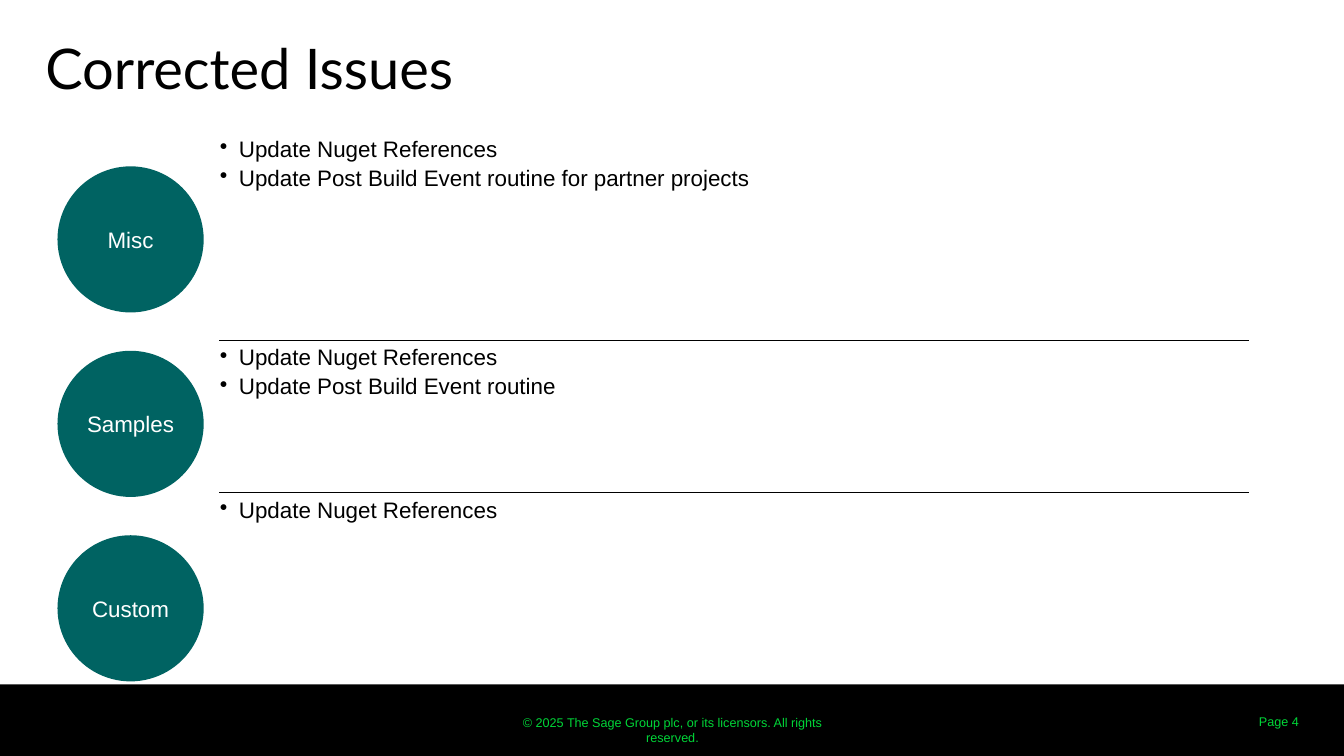
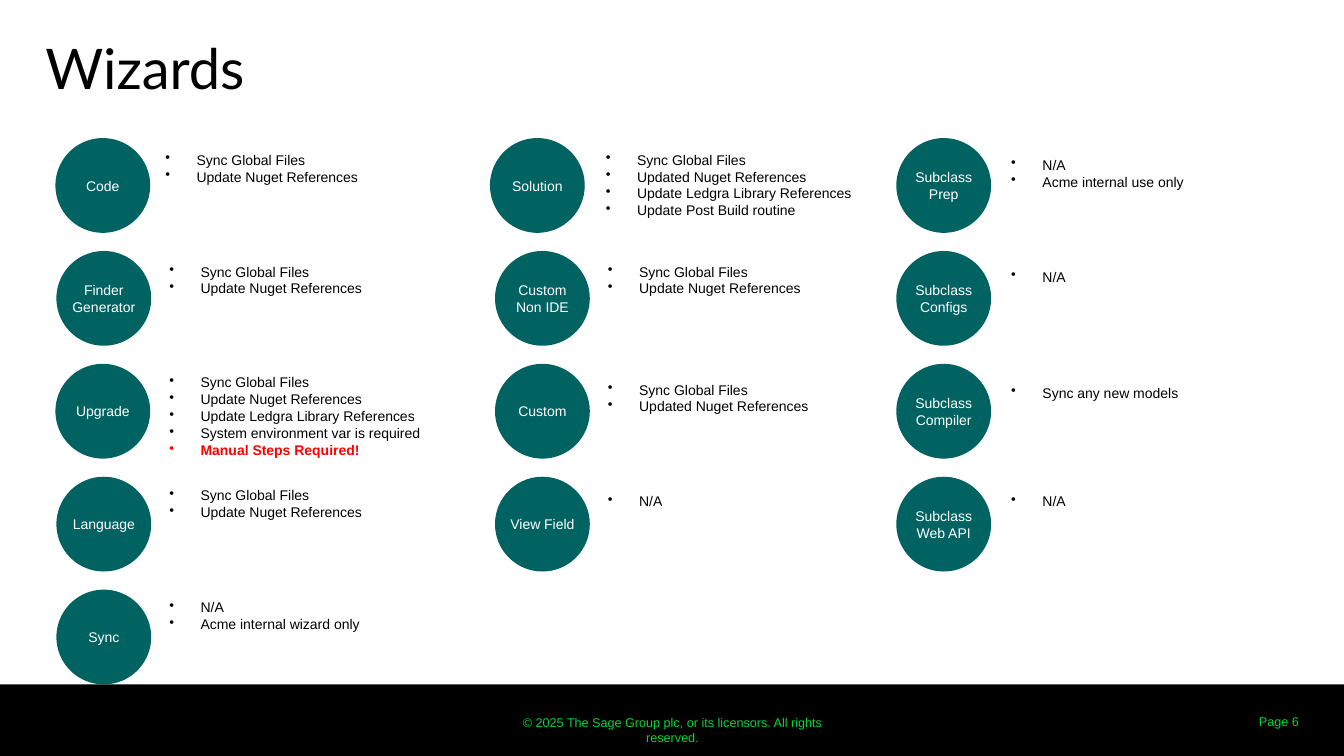
from lxml import etree
from pptx import Presentation
from pptx.dml.color import RGBColor
from pptx.enum import shapes, text
from pptx.oxml import ns
from pptx.util import Inches, Pt

BLACK = RGBColor(0x00, 0x00, 0x00)
WHITE = RGBColor(0xFF, 0xFF, 0xFF)
TEAL = RGBColor(0x00, 0x63, 0x62)
GREEN = RGBColor(0x00, 0xD6, 0x38)
RED = RGBColor(0xFF, 0x00, 0x00)
BODY, HEAD = "Arial", "Lato"
WIDE, HIGH = 13.33, 7.5
ALIGN, ANCHOR = text.PP_ALIGN, text.MSO_ANCHOR

ALERT = "Manual Steps Required!"
SYNC = "Sync Global Files"
NUGET = "Update Nuget References"
LIBS = "Update Ledgra Library References"

# label, row height, bullets
ISSUES = [
    ("Misc", 2.07, [NUGET, "Update Post Build Event routine for partner projects"]),
    ("Samples", 1.51, [NUGET, "Update Post Build Event routine"]),
    ("Custom", 1.51, [NUGET]),
]

# columns of: label, disc left, list left, list top, bullets
WIZARDS = [
    [
        ("Code", 0.55, 1.64, 1.5, [SYNC, NUGET]),
        ("Finder\nGenerator", 0.56, 1.68, 2.61, [SYNC, NUGET]),
        ("Upgrade", 0.55, 1.68, 3.71,
         [SYNC, NUGET, LIBS, "System environment var is required", ALERT]),
        ("Language", 0.56, 1.68, 4.83, [SYNC, NUGET]),
        ("Sync", 0.56, 1.68, 5.94, ["N/A", "Acme internal wizard only"]),
    ],
    [
        ("Solution", 4.86, 6.01, 1.5,
         [SYNC, "Updated Nuget References", LIBS, "Update Post Build routine"]),
        ("Custom\nNon IDE", 4.91, 6.03, 2.61, [SYNC, NUGET]),
        ("Custom", 4.91, 6.03, 3.78, [SYNC, "Updated Nuget References"]),
        ("View Field", 4.91, 6.03, 4.89, ["N/A"]),
    ],
    [
        ("Subclass\nPrep", 8.89, 10.03, 1.55, ["N/A", "Acme internal use only"]),
        ("Subclass\nConfigs", 8.89, 10.03, 2.66, ["N/A"]),
        ("Subclass\nCompiler", 8.89, 10.03, 3.81, ["Sync any new models"]),
        ("Subclass\nWeb API", 8.89, 10.03, 4.89, ["N/A"]),
    ],
]


def box(left, top, width, height):
    return [Inches(n) for n in (left, top, width, height)]


def pad(item, side, ends):
    """Set the margins of a text frame or a cell."""
    item.margin_left = item.margin_right = Inches(side)
    item.margin_top = item.margin_bottom = Inches(ends)


def style(para, size, color, face=BODY, align=None):
    para.alignment = align
    para.font.size, para.font.name = Pt(size), face
    para.font.color.rgb = color


def write(frame, lines, size, color, align=None, indent=0, after=None):
    """Fill a frame with one paragraph a line, bulleted if indented."""
    for i, line in enumerate(lines):
        para = frame.add_paragraph() if i else frame.paragraphs[0]
        para.text = line
        if indent:
            props = para._p.get_or_add_pPr()
            props.set("marL", str(Inches(indent)))
            props.set("indent", str(-Inches(indent)))
            etree.SubElement(props, ns.qn("a:buChar"), char="•")
        if after is not None:
            para.space_after = Pt(after)
        style(para, size, RED if line == ALERT else color, align=align)
        if line == ALERT:
            para.font.bold = True


def label(slide, area, lines, size, color, side=0, ends=0, **how):
    """Add a wrapping text box."""
    shape = slide.shapes.add_textbox(*box(*area))
    shape.text_frame.word_wrap = True
    pad(shape.text_frame, side, ends)
    write(shape.text_frame, lines, size, color, **how)
    return shape


def solid(slide, kind, area, color):
    shape = slide.shapes.add_shape(kind, *box(*area))
    shape.shadow.inherit = False
    shape.fill.solid()
    shape.fill.fore_color.rgb = color
    shape.line.fill.background()
    return shape


def disc(slide, left, top, side, words, size):
    shape = solid(slide, shapes.MSO_SHAPE.OVAL, (left, top, side, side), TEAL)
    frame = shape.text_frame
    pad(frame, 0, 0)
    frame.vertical_anchor = ANCHOR.MIDDLE
    write(frame, words.split("\n"), size, WHITE, ALIGN.CENTER)


def dress(layout, slide):
    """Give the layout its title place, band and copyright line."""
    title = layout.placeholders[0]
    title.left, title.top, title.width, title.height = box(0.45, 0.33, 12.42, 0.65)
    band = solid(slide, shapes.MSO_SHAPE.RECTANGLE, (0, 6.79, WIDE, 0.71), BLACK)
    legal = label(slide, (4.92, 7.04, 3.5, 0.25),
                  ["© 2025 The Sage Group plc, or its licensors. All rights reserved."],
                  9, GREEN, ends=0.05, align=ALIGN.CENTER)
    for shape in (band, legal):
        layout.shapes.element.append(shape.element)


def head(slide, words, page):
    """Write the title and the page number."""
    frame = slide.shapes.title.text_frame
    frame.text = words
    pad(frame, 0, 0)
    frame.auto_size = text.MSO_AUTO_SIZE.NONE
    frame.vertical_anchor = ANCHOR.TOP
    style(frame.paragraphs[0], 40, BLACK, HEAD, ALIGN.LEFT)
    num = label(slide, (12.07, 6.96, 0.91, 0.4), [f"Page {page}"], 9, GREEN,
                side=0.1, ends=0.05, align=ALIGN.RIGHT)
    num.text_frame.vertical_anchor = ANCHOR.MIDDLE


def rule(cell, edge):
    """Draw a thin black line on one edge of a cell."""
    line = etree.Element(ns.qn(f"a:{edge}"), w=str(Pt(1)))
    fill = etree.SubElement(line, ns.qn("a:solidFill"))
    etree.SubElement(fill, ns.qn("a:srgbClr"), val=str(BLACK))
    props = cell._tc.get_or_add_tcPr()
    props.insert(len(props.findall(ns.qn("a:lnT"))), line)


def issues(slide, left, top, width):
    """Place a ruled table of fixes with a disc beside each row."""
    total = sum(high for _, high, _ in ISSUES)
    grid = slide.shapes.add_table(len(ISSUES), 1, *box(left, top, width, total)).table
    grid.first_row = grid.horz_banding = False
    for i, (name, high, lines) in enumerate(ISSUES):
        disc(slide, left - 1.61, top + 0.34 + 1.83 * i, 1.45, name, 16)
        grid.rows[i].height = Inches(high)
        cell = grid.cell(i, 0)
        cell.fill.background()
        pad(cell, 0, 0.05)
        write(cell.text_frame, lines, 16, BLACK, indent=0.19, after=3)
        if i:
            rule(cell, "lnT")
        if i < len(ISSUES) - 1:
            rule(cell, "lnB")


def wizards(slide, top, step):
    """Place columns of discs, each with its list."""
    for column in WIZARDS:
        for i, (name, left, start, high, lines) in enumerate(column):
            disc(slide, left, top + step * i, 0.94, name, 10)
            label(slide, (start, high, 2.67, 0.58), lines, 10, BLACK, indent=0.31)


def main():
    deck = Presentation()
    deck.slide_width, deck.slide_height = Inches(WIDE), Inches(HIGH)
    layout = deck.slide_layouts[5]
    first, second = [deck.slides.add_slide(layout) for _ in range(2)]
    dress(layout, first)
    head(first, "Corrected Issues", 4)
    issues(first, 2.18, 1.31, 10.2)
    head(second, "Wizards", 6)
    wizards(second, 1.37, 1.12)
    deck.save("out.pptx")


if __name__ == "__main__":
    main()
